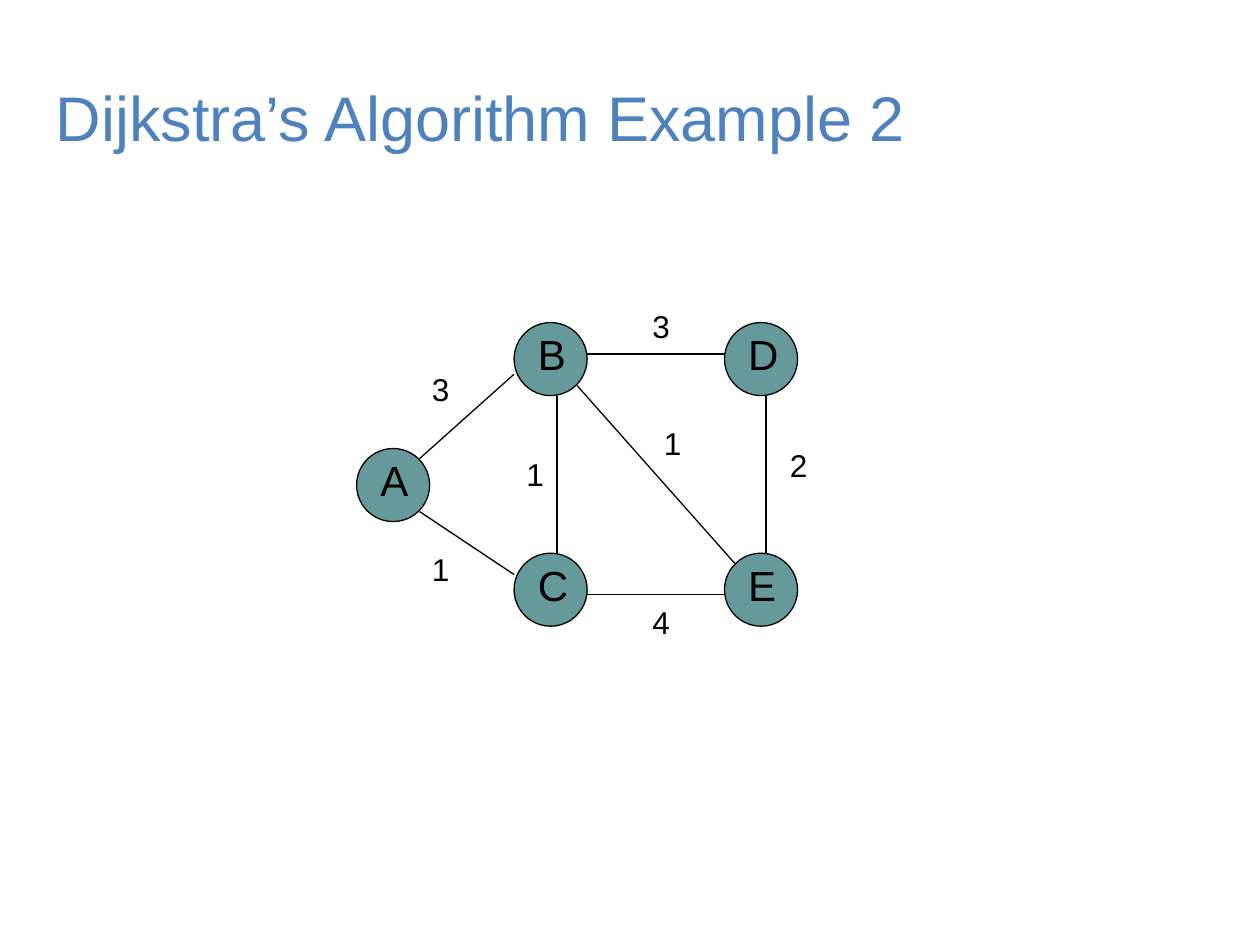
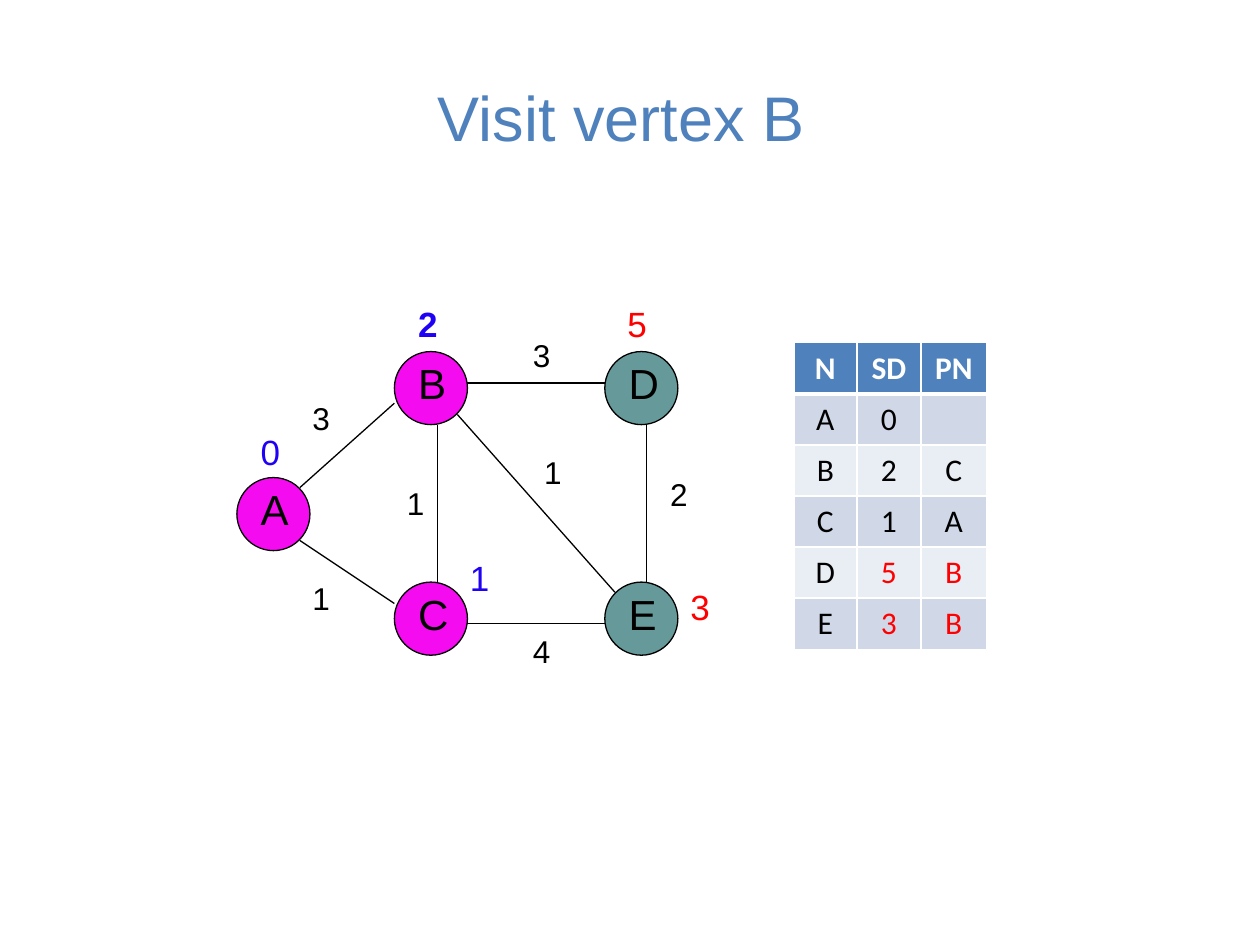
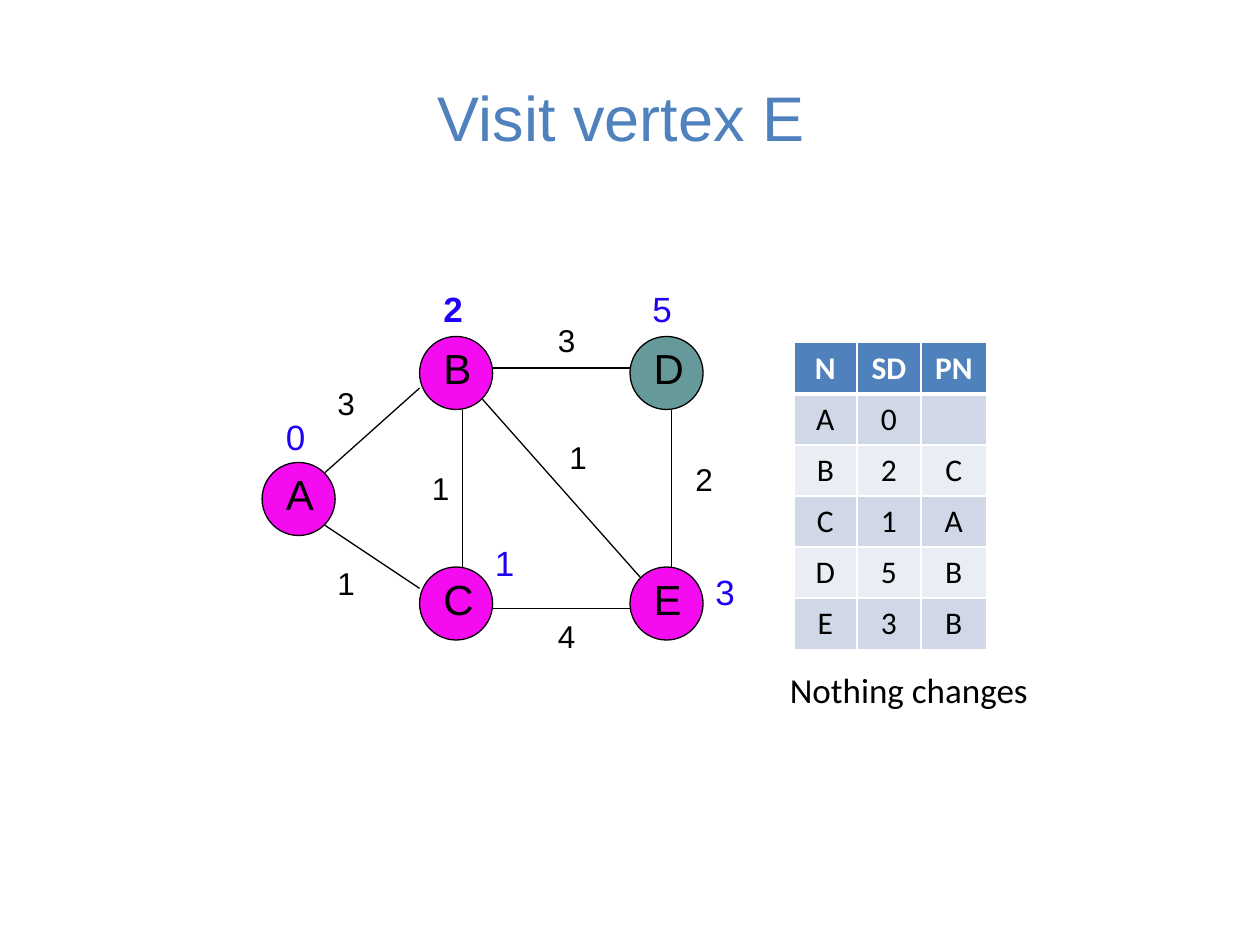
from lxml.etree import SubElement
from pptx import Presentation
from pptx.dml.color import RGBColor
from pptx.enum.shapes import MSO_CONNECTOR, MSO_SHAPE
from pptx.enum.text import MSO_ANCHOR, MSO_AUTO_SIZE, PP_ALIGN
from pptx.oxml.ns import qn
from pptx.util import Inches, Pt

BLACK = RGBColor(0x00, 0x00, 0x00)
WHITE = RGBColor(0xFF, 0xFF, 0xFF)
BLUE = RGBColor(0x4F, 0x81, 0xBD)
TEAL = RGBColor(0x66, 0x99, 0x99)
PINK = RGBColor(0xF5, 0x0B, 0xEF)
INDIGO = RGBColor(0x1F, 0x02, 0xF6)
RED = RGBColor(0xFF, 0x00, 0x00)
BANDS = RGBColor(0xD0, 0xD8, 0xE8), RGBColor(0xE9, 0xED, 0xF4)

SIZE = 0.58
NODES = {"A": (0, 1), "B": (1.25, 0), "C": (1.25, 1.83), "E": (2.92, 1.83), "D": (2.92, 0)}
EDGES = [
    (0.5, 1.08, 1.25, 0.41),
    (0.5, 1.5, 1.25, 2),
    (1.83, 2.16, 2.92, 2.16),
    (3.25, 1.83, 3.25, 0.58),
    (1.59, 1.83, 1.59, 0.58),
    (1.83, 0.25, 2.92, 0.25),
    (1.75, 0.5, 3, 1.91),
]
COSTS = [
    ("3", 0.5, 0.33),
    ("1", 0.5, 1.76),
    ("1", 1.25, 1),
    ("3", 2.25, -0.17),
    ("2", 3.34, 0.93),
    ("1", 2.34, 0.76),
    ("4", 2.25, 2.18),
]
MARKS = {"B": (1.34, -0.44), "D": (3, -0.44), "E": (3.5, 1.81), "C": (1.75, 1.58), "A": (0.09, 0.58)}
HEADS = ("N", "SD", "PN")
ROWS = [("A", "0", ""), ("B", "2", "C"), ("C", "1", "A"), ("D", "5", "B"), ("E", "3", "B")]
WIDTHS = (0.5, 0.51, 0.52)


class Deck:
    """Hold the shared style and the current slide."""

    def __init__(self):
        self.show = Presentation()
        self.show.slide_width, self.show.slide_height = Inches(10), Inches(7.5)
        self.slide = None

    def start(self, title, left=0.5, width=9):
        """Add a slide with its title."""
        self.slide = self.show.slides.add_slide(self.show.slide_layouts[6])
        box = self.label(title, left, 0.3, width, 1.25, 36, BLUE)
        box.text_frame.auto_size = MSO_AUTO_SIZE.NONE
        box.text_frame.vertical_anchor = MSO_ANCHOR.MIDDLE
        box.text_frame.paragraphs[0].alignment = PP_ALIGN.CENTER

    def run(self, para, text, size, color, bold=False, face="Arial"):
        """Add one styled run."""
        run = para.add_run()
        run.text = text
        font = run.font
        font.name, font.size, font.bold = face, Pt(size), bold
        font.color.rgb = color

    def label(self, text, x, y, w, h, size, color=BLACK, bold=False, face="Arial", wrap=True, home=None):
        """Add a text box to the slide or to a group."""
        box = (home or self.slide).shapes.add_textbox(Inches(x), Inches(y), Inches(w), Inches(h))
        frame = box.text_frame
        frame.word_wrap = wrap
        frame.auto_size = MSO_AUTO_SIZE.SHAPE_TO_FIT_TEXT
        self.run(frame.paragraphs[0], text, size, color, bold, face)
        return box

    def node(self, name, x, y, fill):
        """Group a disc with its letter."""
        group = self.slide.shapes.add_group_shape()
        disc = group.shapes.add_shape(MSO_SHAPE.OVAL, Inches(x), Inches(y), Inches(SIZE), Inches(SIZE))
        disc.shadow.inherit = False
        disc.fill.solid()
        disc.fill.fore_color.rgb = fill
        disc.line.color.rgb = BLACK
        disc.line.width = Pt(0.75)
        self.label(name, x + 0.09, y, 0.5, 0.5, 24, home=group)

    def edge(self, *ends):
        """Draw a line between two points."""
        line = self.slide.shapes.add_connector(MSO_CONNECTOR.STRAIGHT, *map(Inches, ends))
        line.line.color.rgb = BLACK
        line.line.width = Pt(0.75)
        SubElement(line._element.spPr, qn("a:effectLst"))

    def graph(self, x, y, seen="", fresh="", marked=True):
        """Draw the graph, with the known distances if marked."""
        for name, (dx, dy) in NODES.items():
            self.node(name, x + dx, y + dy, PINK if name in seen else TEAL)
        for x1, y1, x2, y2 in EDGES:
            self.edge(x + x1, y + y1, x + x2, y + y2)
        for cost, dx, dy in COSTS:
            self.label(cost, x + dx, y + dy, SIZE, 0.4, 18)
        if marked:
            for name, dist, _ in ROWS:
                dx, dy = MARKS[name]
                color = RED if name in fresh else INDIGO
                self.label(dist, x + dx, y + dy, SIZE, 0.43, 20, color, name == "B")

    def border(self, cell, head):
        """Draw white cell borders, thick below the head row."""
        props = cell._tc.get_or_add_tcPr()
        for side in "LRTB":
            width = Pt(3) if head and side == "B" else Pt(1)
            line = SubElement(props, qn(f"a:ln{side}"), w=str(width))
            SubElement(SubElement(line, qn("a:solidFill")), qn("a:srgbClr"), val=str(WHITE))

    def table(self, fresh=""):
        """Add the table of distances, with fresh values in red."""
        rows = [HEADS, *ROWS]
        grid = self.slide.shapes.add_table(
            len(rows), len(HEADS), Inches(6.3), Inches(2.72), Inches(sum(WIDTHS)), Inches(2.43)
        ).table
        for col, width in zip(grid.columns, WIDTHS):
            col.width = Inches(width)
        for r, row in enumerate(rows):
            for c, text in enumerate(row):
                cell = grid.cell(r, c)
                self.border(cell, r == 0)
                cell.fill.solid()
                cell.fill.fore_color.rgb = BANDS[(r - 1) % 2] if r else BLUE
                color = WHITE if r == 0 else RED if c and row[0] in fresh else BLACK
                para = cell.text_frame.paragraphs[0]
                para.alignment = PP_ALIGN.CENTER
                if text:
                    self.run(para, text, 18, color, r == 0, "Calibri")


def main():
    deck = Deck()
    deck.start("Dijkstra’s Algorithm Example 2", 0.03, 7.57)
    deck.graph(2.83, 2.56, marked=False)

    deck.start("Visit vertex B ")
    deck.table("DE")
    deck.graph(1.88, 2.79, "ABC", "DE")

    deck.start("Visit vertex E ")
    deck.table()
    deck.graph(2.08, 2.67, "ABCE")
    deck.label("Nothing changes", 6.17, 5.26, 2.11, 0.44, 20, face="Calibri", wrap=False)
    deck.show.save("out.pptx")


if __name__ == "__main__":
    main()
